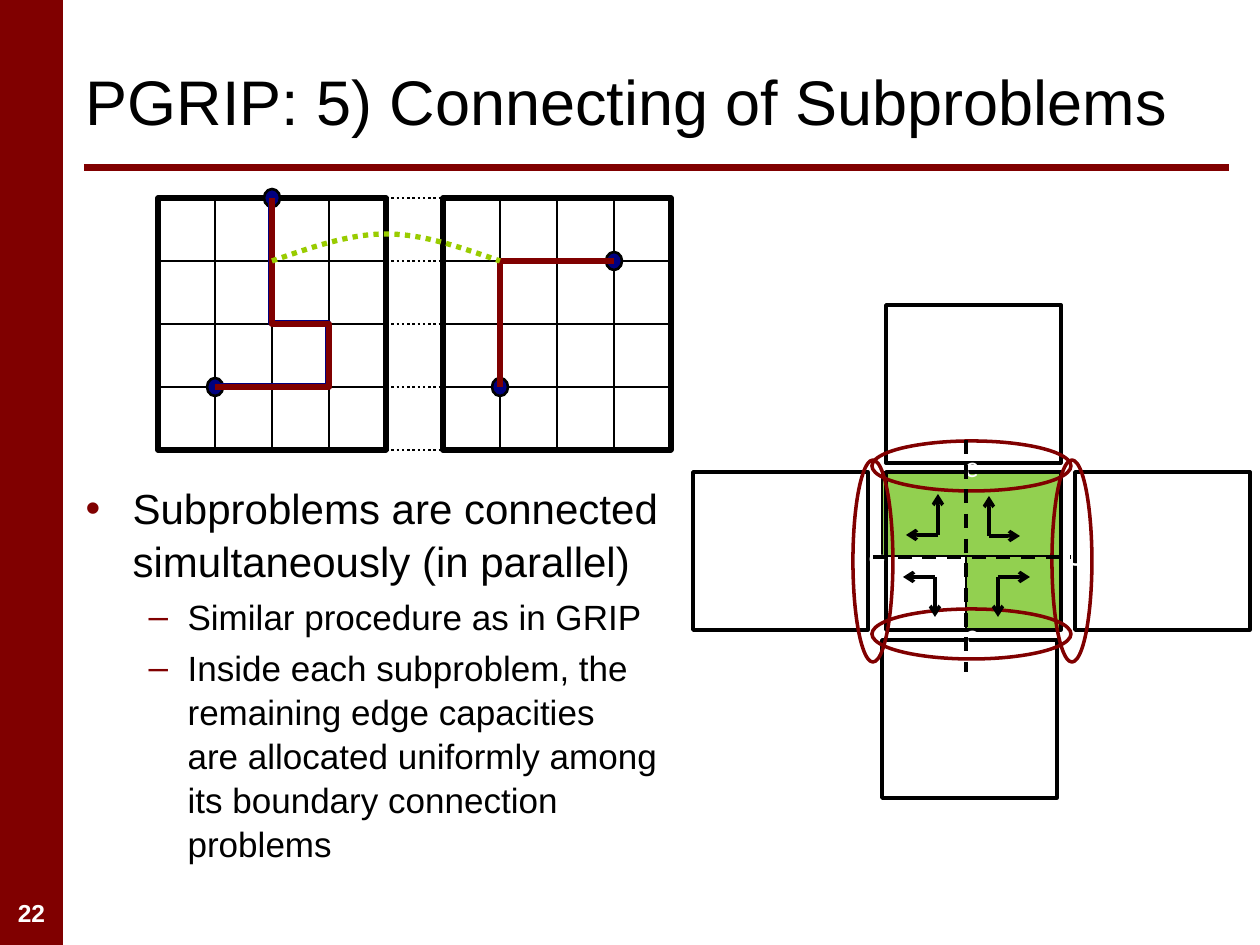
from typing import NamedTuple

from pptx import Presentation
from pptx import util as u
from pptx.dml.color import RGBColor
from pptx.enum import dml, shapes, text
from pptx.oxml import ns, xmlchemy

MAROON = RGBColor(0x80, 0x00, 0x00)
NAVY = RGBColor(0x00, 0x00, 0x80)
GREEN = RGBColor(0x92, 0xD0, 0x50)
LIME = RGBColor(0x99, 0xCC, 0x00)
BLACK = RGBColor(0x00, 0x00, 0x00)
WHITE = RGBColor(0xFF, 0xFF, 0xFF)

SCALE = 914400 / 126  # EMU per px
CELL_W, CELL_H, CELLS = 57, 63, 4
GRID_TOP, LEFT_GRID, RIGHT_GRID = 198, 158, 443
TILE_W, TILE_H = 175, 158

RECT = shapes.MSO_SHAPE.RECTANGLE
OVAL = shapes.MSO_SHAPE.OVAL
SYS_DOT = dml.MSO_LINE.ROUND_DOT


class Box(NamedTuple):
    x: int
    y: int
    w: int
    h: int
    rot: int = 0


class Item(NamedTuple):
    lines: tuple
    level: int
    bullet: str
    size: int
    margin: int
    hang: int


class Elbow(NamedTuple):
    x: int
    y: int
    dx: int
    dy: int


def px(n):
    return u.Emu(round(n * SCALE))


def place(sp, box: Box):
    sp.left, sp.top, sp.width, sp.height = (px(n) for n in box[:4])


def style_line(sp, color, width, dash=None):
    sp.line.color.rgb = color
    sp.line.width = u.Pt(width)
    if dash:
        sp.line.dash_style = dash


def add_run(p, words: str, size, color, font="Arial", bold=False):
    r = p.add_run()
    r.text = words
    f = r.font
    f.name, f.size, f.bold = font, u.Pt(size), bold
    f.color.rgb = color


def add_shape(s, kind, box: Box, fill=None, line=None, width=1.5):
    sp = s.shapes.add_shape(kind, *(px(n) for n in box[:4]))
    sp.rotation = box.rot
    sp.shadow.inherit = False
    if fill is None:
        sp.fill.background()
    else:
        sp.fill.solid()
        sp.fill.fore_color.rgb = fill
    if line is None:
        sp.line.fill.background()
    else:
        style_line(sp, line, width)
    return sp


def add_line(s, x1, y1, x2, y2, color=BLACK, width=1.5, dash=None, arrow=False):
    c = s.shapes.add_connector(shapes.MSO_CONNECTOR.STRAIGHT, px(x1), px(y1), px(x2), px(y2))
    style_line(c, color, width, dash)
    if arrow:
        tail = xmlchemy.OxmlElement("a:tailEnd")
        tail.set("type", "arrow")
        c.line._get_or_add_ln().append(tail)
    c._element.spPr.append(xmlchemy.OxmlElement("a:effectLst"))
    return c


def join(c, start, start_site: int, end, end_site: int):
    c.begin_connect(start, start_site)
    c.end_connect(end, end_site)


def add_route(s, points, color, width=3.5, dash=None):
    fb = s.shapes.build_freeform(*points[0], scale=SCALE)
    fb.add_line_segments(points[1:], close=False)
    sp = fb.convert_to_shape()
    sp.shadow.inherit = False
    sp.fill.background()
    style_line(sp, color, width, dash)
    return sp


def curve(sp):
    """Turn each three line segments into one cubic segment."""
    segments = list(sp._element.iter(ns.qn("a:lnTo")))
    for i in range(0, len(segments), 3):
        cubic = xmlchemy.OxmlElement("a:cubicBezTo")
        segments[i].addprevious(cubic)
        for seg in segments[i:i + 3]:
            cubic.append(seg[0])
            seg.getparent().remove(seg)


def node(left: int, col: int, row: int):
    return left + col * CELL_W, GRID_TOP + row * CELL_H


def add_grid(s, left: int):
    frame = add_shape(s, RECT, Box(left, GRID_TOP, CELLS * CELL_W, CELLS * CELL_H), None, BLACK, 3)
    for i in range(1, CELLS):
        across = add_line(s, *node(left, 0, i), *node(left, CELLS, i))
        down = add_line(s, *node(left, i, 0), *node(left, i, CELLS))
        if 2 * i == CELLS:
            join(across, frame, 1, frame, 3)
            join(down, frame, 0, frame, 2)
    return frame


def add_item(p, item: Item):
    pPr = p._p.get_or_add_pPr()
    pPr.set("marL", str(px(item.margin)))
    pPr.set("indent", str(-px(item.hang)))
    color = xmlchemy.OxmlElement("a:buClr")
    rgb = xmlchemy.OxmlElement("a:srgbClr")
    rgb.set("val", str(MAROON))
    color.append(rgb)
    char = xmlchemy.OxmlElement("a:buChar")
    char.set("char", item.bullet)
    pPr.extend([color, char])
    p.level = item.level
    p.line_spacing = 1.05
    p.space_before = u.Pt(4 if item.level else 0)
    for i, words in enumerate(item.lines):
        if i:
            p.add_line_break()
        add_run(p, words, item.size, BLACK)


prs = Presentation()
prs.slide_width, prs.slide_height = px(1260), px(945)
s = prs.slides.add_slide(prs.slide_layouts[1])

# Side bar, title rule and slide number
add_shape(s, RECT, Box(0, 0, 63, 945), MAROON)
add_line(s, 84, 168, 1229, 168, MAROON, 4)
number = s.shapes.add_textbox(0, px(892), px(63), px(42)).text_frame
number.word_wrap = True
number.paragraphs[0].alignment = text.PP_ALIGN.CENTER
add_run(number.paragraphs[0], "22", 14, WHITE, bold=True)

# Title
title = s.shapes.title
place(title, Box(73, 32, 1155, 136))
tf = title.text_frame
tf.auto_size = text.MSO_AUTO_SIZE.NONE
tf.vertical_anchor = text.MSO_ANCHOR.MIDDLE
tf.paragraphs[0].alignment = text.PP_ALIGN.LEFT
add_run(tf.paragraphs[0], "PGRIP: 5) Connecting of Subproblems", 36, BLACK)

# Bullet list
ITEMS = (
    Item(("Subproblems are connected simultaneously (in parallel)",), 0, "•", 24, 47, 47),
    Item(("Similar procedure as in GRIP",), 1, "–", 20, 102, 39),
    Item(("Inside each subproblem, the remaining edge capacities",
          "are allocated uniformly among its boundary connection problems"), 1, "–", 20, 102, 39),
)
body = s.placeholders[1]
place(body, Box(73, 474, 630, 439))
tf = body.text_frame
tf.auto_size = text.MSO_AUTO_SIZE.NONE
for i, item in enumerate(ITEMS):
    add_item(tf.add_paragraph() if i else tf.paragraphs[0], item)

# Two routing grids with dotted links between them
right_frame = add_grid(s, RIGHT_GRID)
left_frame = add_grid(s, LEFT_GRID)
for row in range(CELLS + 1):
    link = add_line(s, *node(LEFT_GRID, CELLS, row), *node(RIGHT_GRID, 0, row), dash=SYS_DOT)
    if 2 * row == CELLS:
        join(link, left_frame, 3, right_frame, 1)

# Terminals, routes and the connection between them
for left, col, row in ((LEFT_GRID, 1, 3), (RIGHT_GRID, 3, 1), (LEFT_GRID, 2, 0), (RIGHT_GRID, 1, 3)):
    x, y = node(left, col, row)
    add_shape(s, OVAL, Box(x - 8, y - 9, 16, 18), NAVY, BLACK)
left_route = [node(LEFT_GRID, *n) for n in ((2, 0), (2, 2), (3, 2), (3, 3), (1, 3))]
right_route = [node(RIGHT_GRID, *n) for n in ((3, 1), (1, 1), (1, 3))]
add_route(s, [(x - 1, y - 1) for x, y in left_route], NAVY)
add_route(s, right_route, NAVY)
add_route(s, left_route, MAROON)
add_route(s, right_route, MAROON)
curve(add_route(s, [(272, 261), (310, 248), (348, 234), (386, 234),
                    (424, 234), (462, 248), (500, 261)], LIME, 3, SYS_DOT))

# Neighbouring subproblems around the shaded centre
for box in (Box(966, 472, 95, 158), Box(882, 472, 179, 84)):
    add_shape(s, RECT, box, GREEN, BLACK, 1.25)
for x, y in ((886, 305), (886, 472), (1075, 472), (693, 472), (882, 640)):
    add_shape(s, RECT, Box(x, y, TILE_W, TILE_H), None, BLACK, 2)

# Boundary ellipses
for box in (Box(872, 441, 199, 50), Box(872, 609, 199, 50),
            Box(971, 541, 202, 40, 270), Box(772, 541, 202, 40, 270)):
    tf = add_shape(s, OVAL, box, None, MAROON, 2).text_frame
    tf.vertical_anchor = text.MSO_ANCHOR.MIDDLE
    tf.paragraphs[0].alignment = text.PP_ALIGN.CENTER
    add_run(tf.paragraphs[0], "c", 16, WHITE, "Lato")

# Dashed axes and the arrow pair of each quadrant
add_line(s, 966, 440, 966, 672, width=2, dash=dml.MSO_LINE.DASH)
add_line(s, 873, 557, 1071, 557, width=2, dash=dml.MSO_LINE.DASH)
for e in (Elbow(989, 536, 31, -40), Elbow(998, 577, 32, 40),
          Elbow(938, 535, -32, -41), Elbow(935, 577, -32, 40)):
    add_line(s, e.x, e.y, e.x + e.dx, e.y, width=2, arrow=True)
    add_line(s, e.x, e.y, e.x, e.y + e.dy, width=2, arrow=True)

prs.save("out.pptx")
